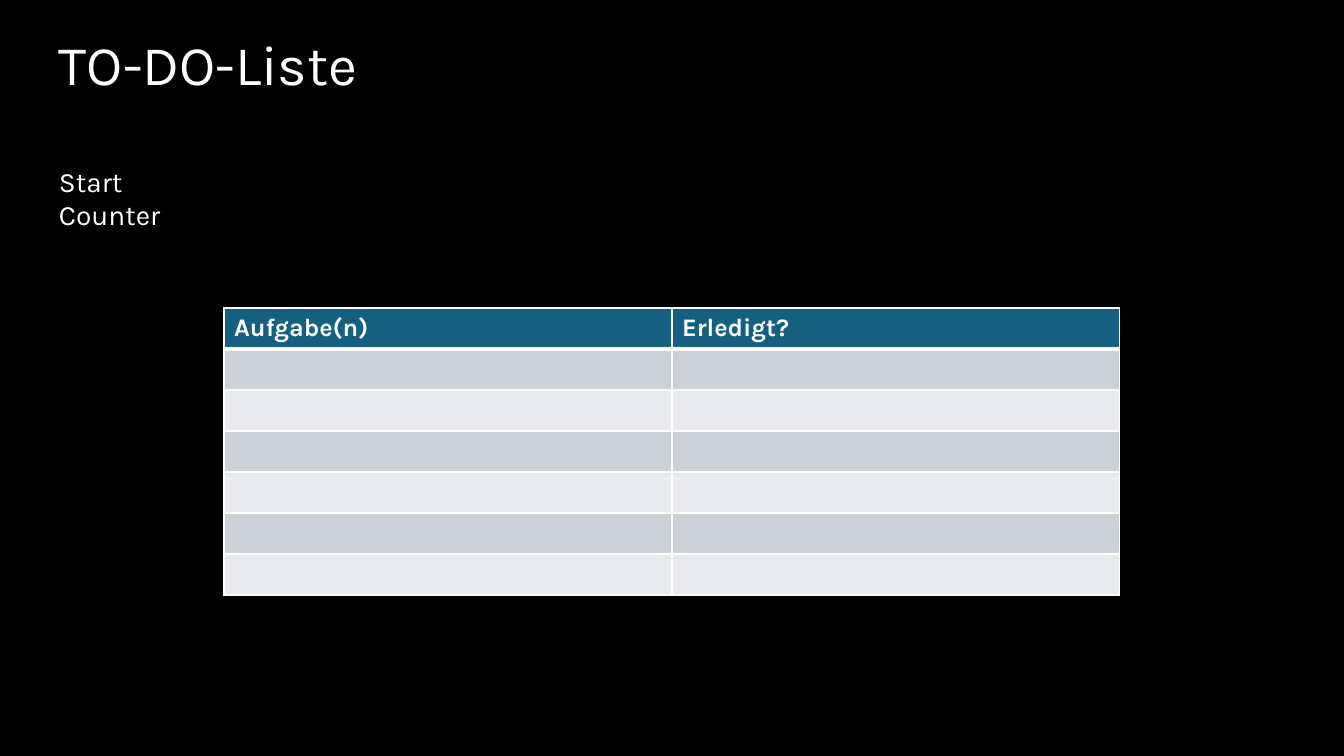
import pptx
import pptx.dml.color
import pptx.enum.text
import pptx.oxml.ns
import pptx.util
from lxml import etree

EMU_PER_PX = 914400 / 100.8
FONT = "Karla"
WHITE = "FFFFFF"
BLACK = "000000"
HEADER_FILL = "156082"
BAND_FILLS = ("CCD2D8", "E8EAED")
HEADINGS = ("Aufgabe(n)", "Erledigt?")
TASK_ROWS = 6
COLUMN_WIDTH = 448
ROW_HEIGHT = 41


def px(length):
    return pptx.util.Emu(round(length * EMU_PER_PX))


def color(hex_value):
    return pptx.dml.color.RGBColor.from_string(hex_value)


def write(paragraph, text, size=18, bold=False, space_before=0):
    run = paragraph.add_run()
    run.text = text
    run.font.name = FONT
    run.font.size = pptx.util.Pt(size)
    run.font.bold = bold
    run.font.color.rgb = color(WHITE)
    paragraph.space_before = pptx.util.Pt(space_before)


def add_border(cell, side, width):
    qn = pptx.oxml.ns.qn
    properties = cell._tc.get_or_add_tcPr()
    line = etree.SubElement(properties, qn(f"a:ln{side}"), w=str(pptx.util.Pt(width)))
    fill = etree.SubElement(line, qn("a:solidFill"))
    etree.SubElement(fill, qn("a:srgbClr"), val=WHITE)


def style_cell(cell, row):
    widths = {"L": 1, "R": 1, "T": 3 if row == 1 else 1, "B": 3 if row == 0 else 1}
    for side, width in widths.items():
        add_border(cell, side, width)
    cell.fill.solid()
    cell.fill.fore_color.rgb = color(HEADER_FILL if row == 0 else BAND_FILLS[(row - 1) % 2])


def add_heading(slide):
    heading = slide.shapes.add_textbox(px(49), px(25), px(386), px(214)).text_frame
    heading.word_wrap = True
    heading.auto_size = pptx.enum.text.MSO_AUTO_SIZE.SHAPE_TO_FIT_TEXT
    write(heading.paragraphs[0], "TO-DO-Liste", size=40)
    write(heading.add_paragraph(), "Start", size=20, space_before=48)
    write(heading.add_paragraph(), "Counter", size=20)


def add_task_table(slide):
    rows, columns = TASK_ROWS + 1, len(HEADINGS)
    tasks = slide.shapes.add_table(
        rows, columns, px(224), px(308), px(columns * COLUMN_WIDTH), px(rows * ROW_HEIGHT)
    ).table
    for column in tasks.columns:
        column.width = px(COLUMN_WIDTH)
    for index, row in enumerate(tasks.rows):
        row.height = px(ROW_HEIGHT)
        for cell in row.cells:
            style_cell(cell, index)
    for cell, text in zip(tasks.rows[0].cells, HEADINGS):
        write(cell.text_frame.paragraphs[0], text, bold=True)


def main():
    presentation = pptx.Presentation()
    presentation.slide_width = px(1344)
    presentation.slide_height = px(756)
    slide = presentation.slides.add_slide(presentation.slide_layouts[6])
    slide.background.fill.solid()
    slide.background.fill.fore_color.rgb = color(BLACK)
    add_heading(slide)
    add_task_table(slide)
    presentation.save("out.pptx")


if __name__ == "__main__":
    main()
